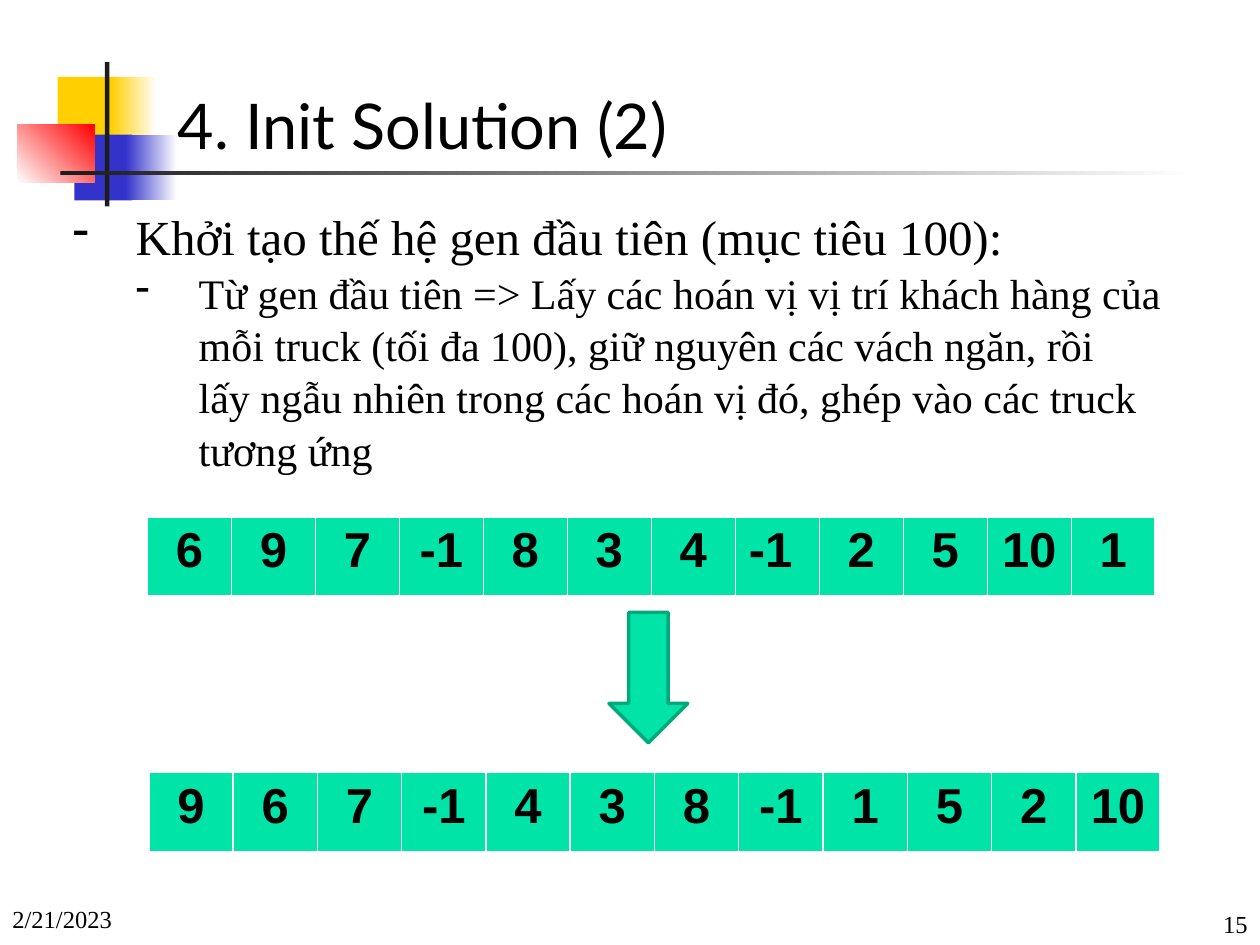
from dataclasses import dataclass

from lxml import etree
from pptx import Presentation
from pptx.dml.color import RGBColor
from pptx.enum.shapes import MSO_SHAPE
from pptx.enum.text import MSO_ANCHOR, MSO_AUTO_SIZE, PP_ALIGN
from pptx.oxml.ns import qn
from pptx.util import Pt

RECTANGLE = MSO_SHAPE.RECTANGLE
DOWN_ARROW = MSO_SHAPE.DOWN_ARROW
TOP = MSO_ANCHOR.TOP
BOTTOM = MSO_ANCHOR.BOTTOM
LEFT = PP_ALIGN.LEFT
CENTER = PP_ALIGN.CENTER
RIGHT = PP_ALIGN.RIGHT
NO_AUTOFIT = MSO_AUTO_SIZE.NONE
TITLE_ONLY = 5
HARD_SPACE = chr(160)


@dataclass(frozen=True)
class Theme:
    white: str = "FFFFFF"
    black: str = "000000"
    yellow: str = "FFCF01"
    blue: str = "3333CC"
    red: str = "FF0000"
    charcoal: str = "1C1C1C"
    green: str = "00E4A8"
    dark_green: str = "00A97C"
    title_font: str = "Lato"
    body_font: str = "Times New Roman"
    gene_font: str = "Arial"
    title_size: int = 36
    large_size: int = 28
    body_size: int = 24
    footer_size: int = 14


THEME = Theme()

DECORATIONS = [
    ((33, 44, 35, 37.5), (THEME.yellow,), 0),
    ((63.5, 44, 26, 37.5), (THEME.yellow, THEME.white), 0),
    ((42.5, 77, 33, 37.5), (THEME.blue,), 0),
    ((72, 77, 29, 37.5), (THEME.blue, THEME.white), 0),
    ((10, 71, 44, 33.5), (THEME.white, THEME.red), 45),
    ((60, 35.5, 2.5, 82.5), (THEME.charcoal,), 0),
    ((34.5, 97.5, 648, 2.25), (THEME.charcoal, THEME.white), 0),
]

HEADING = "Khởi tạo thế hệ gen đầu tiên (mục tiêu 100):"
DETAIL = (
    "Từ gen đầu tiên => Lấy các hoán vị vị trí~khách hàng của mỗi~truck "
    "(tối đa 100),~giữ~nguyên~các~vách~ngăn,~rồi lấy~ngẫu nhiên trong các "
    "hoán vị đó, ghép vào~các truck tương ứng"
).replace("~", HARD_SPACE)

FIRST_GENES = ["6", "9", "7", "-1", "8", "3", "4", "-1" + HARD_SPACE, "2", "5", "10", "1"]
SHUFFLED_GENES = ["9", "6", "7", "-1", "4", "3", "8", "-1", "1", "5", "2", "10"]


def color(value):
    return RGBColor.from_string(value)


def points(box):
    return [Pt(length) for length in box]


def add_run(paragraph, text, font, size, bold=False):
    run = paragraph.add_run()
    run.text = text
    run.font.name = font
    run.font.size = Pt(size)
    run.font.bold = bold
    run.font.color.rgb = color(THEME.black)


def add_decoration(slide, box, colors, angle):
    shape = slide.shapes.add_shape(RECTANGLE, *points(box))
    shape.shadow.inherit = False
    shape.line.fill.background()
    if len(colors) == 1:
        shape.fill.solid()
        shape.fill.fore_color.rgb = color(colors[0])
    else:
        shape.fill.gradient()
        shape.fill.gradient_angle = angle
        for stop, value in zip(shape.fill.gradient_stops, colors):
            stop.color.rgb = color(value)


def set_title(slide, box, text):
    title = slide.shapes.title
    title.left, title.top, title.width, title.height = points(box)
    frame = title.text_frame
    frame.auto_size = NO_AUTOFIT
    frame.vertical_anchor = BOTTOM
    paragraph = frame.paragraphs[0]
    paragraph.alignment = LEFT
    add_run(paragraph, text, THEME.title_font, THEME.title_size)


def add_text_frame(slide, box, anchor):
    frame = slide.shapes.add_textbox(*points(box)).text_frame
    frame.word_wrap = True
    frame.vertical_anchor = anchor
    return frame


def add_footer(slide, box, text, alignment):
    paragraph = add_text_frame(slide, box, BOTTOM).paragraphs[0]
    paragraph.alignment = alignment
    add_run(paragraph, text, THEME.body_font, THEME.footer_size)


def format_bullet(paragraph, level, indent=36):
    paragraph.level = level
    paragraph.line_spacing = 1.04
    properties = paragraph._p.get_or_add_pPr()
    properties.set("marL", str(Pt(indent * (level + 1))))
    properties.set("indent", str(Pt(-indent)))
    etree.SubElement(properties, qn("a:buChar")).set("char", "-")


def add_bullets(slide, box, items):
    frame = add_text_frame(slide, box, TOP)
    for level, (text, size) in enumerate(items):
        paragraph = frame.add_paragraph() if level else frame.paragraphs[0]
        format_bullet(paragraph, level)
        add_run(paragraph, text, THEME.body_font, size)


def add_cell_borders(cell):
    properties = cell._tc.get_or_add_tcPr()
    for side, width in (("L", 1), ("R", 1), ("T", 1), ("B", 3)):
        line = etree.SubElement(properties, qn(f"a:ln{side}"), w=str(Pt(width)))
        fill = etree.SubElement(line, qn("a:solidFill"))
        etree.SubElement(fill, qn("a:srgbClr"), val=THEME.white)


def add_gene_table(slide, box, genes):
    table = slide.shapes.add_table(1, len(genes), *points(box)).table
    for column, gene in enumerate(genes):
        table.columns[column].width = Pt(box[2] / len(genes))
        cell = table.cell(0, column)
        add_cell_borders(cell)
        cell.fill.solid()
        cell.fill.fore_color.rgb = color(THEME.green)
        paragraph = cell.text_frame.paragraphs[0]
        paragraph.alignment = CENTER
        add_run(paragraph, gene, THEME.gene_font, THEME.large_size, bold=True)


def add_down_arrow(slide, box):
    arrow = slide.shapes.add_shape(DOWN_ARROW, *points(box))
    arrow.shadow.inherit = False
    arrow.fill.solid()
    arrow.fill.fore_color.rgb = color(THEME.green)
    arrow.line.color.rgb = color(THEME.dark_green)
    arrow.line.width = Pt(2)


def main():
    presentation = Presentation()
    presentation.slide_width = Pt(720)
    presentation.slide_height = Pt(540)
    slide = presentation.slides.add_slide(presentation.slide_layouts[TITLE_ONLY])

    for box, colors, angle in DECORATIONS:
        add_decoration(slide, box, colors, angle)
    set_title(slide, (94.5, 17.5, 610.5, 79), "4. Init Solution (2)")
    add_bullets(
        slide,
        (34.5, 113, 670.5, 368.5),
        [(HEADING, THEME.large_size), (DETAIL, THEME.body_size)],
    )
    add_footer(slide, (0, 501, 150, 36), "2/21/2023", LEFT)
    add_footer(slide, (570, 504, 150, 36), "15", RIGHT)
    add_gene_table(slide, (84.25, 295.5, 576, 46), FIRST_GENES)
    add_gene_table(slide, (85, 441.5, 578, 46), SHUFFLED_GENES)
    add_down_arrow(slide, (348, 350, 45, 74.5))

    presentation.save("out.pptx")


if __name__ == "__main__":
    main()
